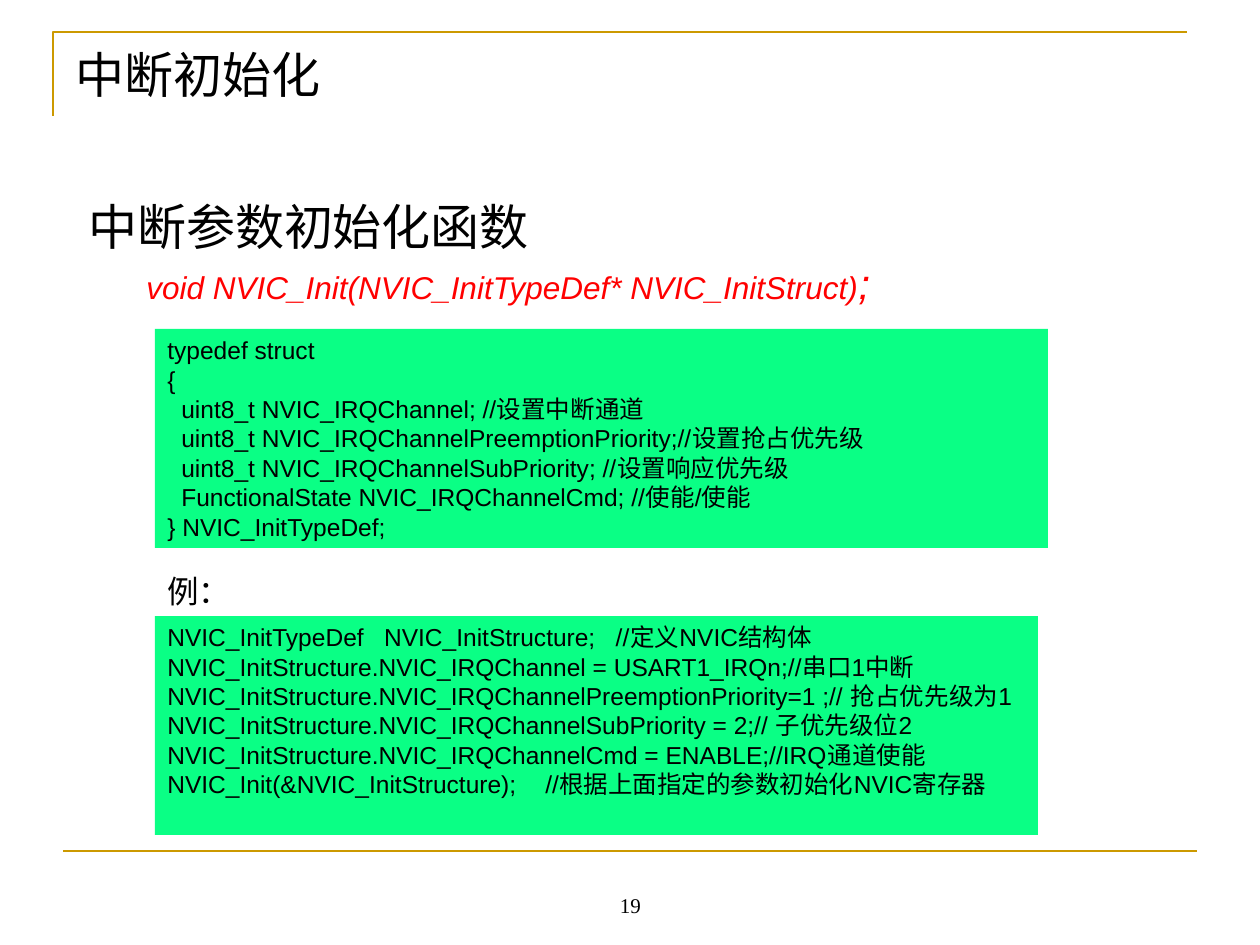
from lxml import etree
from pptx import Presentation
from pptx import util as u
from pptx.dml.color import RGBColor
from pptx.enum import shapes, text
from pptx.oxml.ns import qn

PX = u.Inches(1) / 126
GOLD = RGBColor(0xCC, 0x99, 0x00)
GREEN = RGBColor(0x0A, 0xFF, 0x85)
RED = RGBColor(0xFF, 0x00, 0x00)
BLACK = RGBColor(0x00, 0x00, 0x00)
CODE_INDENT = 14

STRUCT_CODE = [
    "typedef struct",
    "{",
    "  uint8_t NVIC_IRQChannel; //设置中断通道",
    "  uint8_t NVIC_IRQChannelPreemptionPriority;//设置抢占优先级",
    "  uint8_t NVIC_IRQChannelSubPriority; //设置响应优先级",
    "  FunctionalState NVIC_IRQChannelCmd; //使能/使能",
    "} NVIC_InitTypeDef;",
]
EXAMPLE_CODE = [
    "NVIC_InitTypeDef   NVIC_InitStructure;   //定义NVIC结构体",
    "NVIC_InitStructure.NVIC_IRQChannel = USART1_IRQn;//串口1中断",
    "NVIC_InitStructure.NVIC_IRQChannelPreemptionPriority=1 ;// 抢占优先级为1",
    "NVIC_InitStructure.NVIC_IRQChannelSubPriority = 2;// 子优先级位2",
    "NVIC_InitStructure.NVIC_IRQChannelCmd = ENABLE;//IRQ通道使能",
    "NVIC_Init(&NVIC_InitStructure);\t//根据上面指定的参数初始化NVIC寄存器",
]


def px(length):
    return u.Emu(round(length * PX))


class SlideBuilder:
    def __init__(self, slide, font="Arial", line_width=1.5):
        self.slide = slide
        self.font = font
        self.line_width = u.Pt(line_width)

    def style(self, paragraph, size, color=BLACK, font=None):
        paragraph.font.name = font or self.font
        paragraph.font.size = u.Pt(size)
        paragraph.font.color.rgb = color

    def corner(self, points):
        builder = self.slide.shapes.build_freeform(*points[0], scale=PX)
        builder.add_line_segments(points[1:], close=False)
        shape = builder.convert_to_shape()
        shape.fill.background()
        shape.line.color.rgb = GOLD
        shape.line.width = self.line_width
        shape.shadow.inherit = False

    def rule(self, left, right, top):
        line = self.slide.shapes.add_connector(
            shapes.MSO_CONNECTOR.STRAIGHT, px(left), px(top), px(right), px(top))
        line.line.color.rgb = GOLD
        line.line.width = self.line_width
        etree.SubElement(line._element.spPr, qn("a:effectLst"))

    def label(self, box, words, size, color=BLACK, font=None, wrap=True,
              anchor=text.MSO_ANCHOR.TOP):
        frame = self.slide.shapes.add_textbox(*map(px, box)).text_frame
        frame.word_wrap = wrap
        frame.vertical_anchor = anchor
        paragraph = frame.paragraphs[0]
        paragraph.add_run().text = words
        self.style(paragraph, size, color, font)
        return paragraph

    def code(self, box, lines, size=14):
        shape = self.slide.shapes.add_shape(
            shapes.MSO_SHAPE.RECTANGLE, *map(px, box))
        shape.fill.solid()
        shape.fill.fore_color.rgb = GREEN
        shape.line.fill.background()
        shape.shadow.inherit = False
        frame = shape.text_frame
        frame.word_wrap = True
        frame.vertical_anchor = text.MSO_ANCHOR.TOP
        for index, line in enumerate(lines):
            paragraph = frame.add_paragraph() if index else frame.paragraphs[0]
            paragraph.alignment = text.PP_ALIGN.LEFT
            paragraph.add_run().text = line.lstrip()
            self.style(paragraph, size)
            if line.startswith(" "):
                paragraph._p.get_or_add_pPr().set("marL", str(px(CODE_INDENT)))


def main():
    presentation = Presentation()
    presentation.slide_width, presentation.slide_height = px(1260), px(945)
    slide = presentation.slides.add_slide(presentation.slide_layouts[6])
    builder = SlideBuilder(slide)

    # Frame lines
    builder.corner([(53, 116), (53, 32), (1187, 32)])
    builder.rule(63, 1197, 851)

    # Title and page number
    builder.label((63, 38, 1134, 87), "中断初始化", 28)
    number = builder.label((431, 861, 399, 63), "19", 12, font="Times New Roman",
                           anchor=text.MSO_ANCHOR.BOTTOM)
    number.alignment = text.PP_ALIGN.CENTER

    # Function heading and signature
    heading = builder.label((76, 161, 1121, 101), "中断参数初始化函数", 28)
    heading.line_spacing = 1.5
    signature = builder.label(
        (134, 251, 751, 63),
        "void NVIC_Init(NVIC_InitTypeDef* NVIC_InitStruct)", 18, RED, wrap=False)
    signature.font.italic = True
    semicolon = signature.add_run()
    semicolon.text = ";"
    semicolon.font.size = u.Pt(24)

    # Code panels
    builder.code((155, 329, 893, 219), STRUCT_CODE)
    builder.code((155, 616, 883, 219), EXAMPLE_CODE)
    builder.label((155, 566, 88, 50), "例：", 18, wrap=False)

    presentation.save("out.pptx")


if __name__ == "__main__":
    main()
